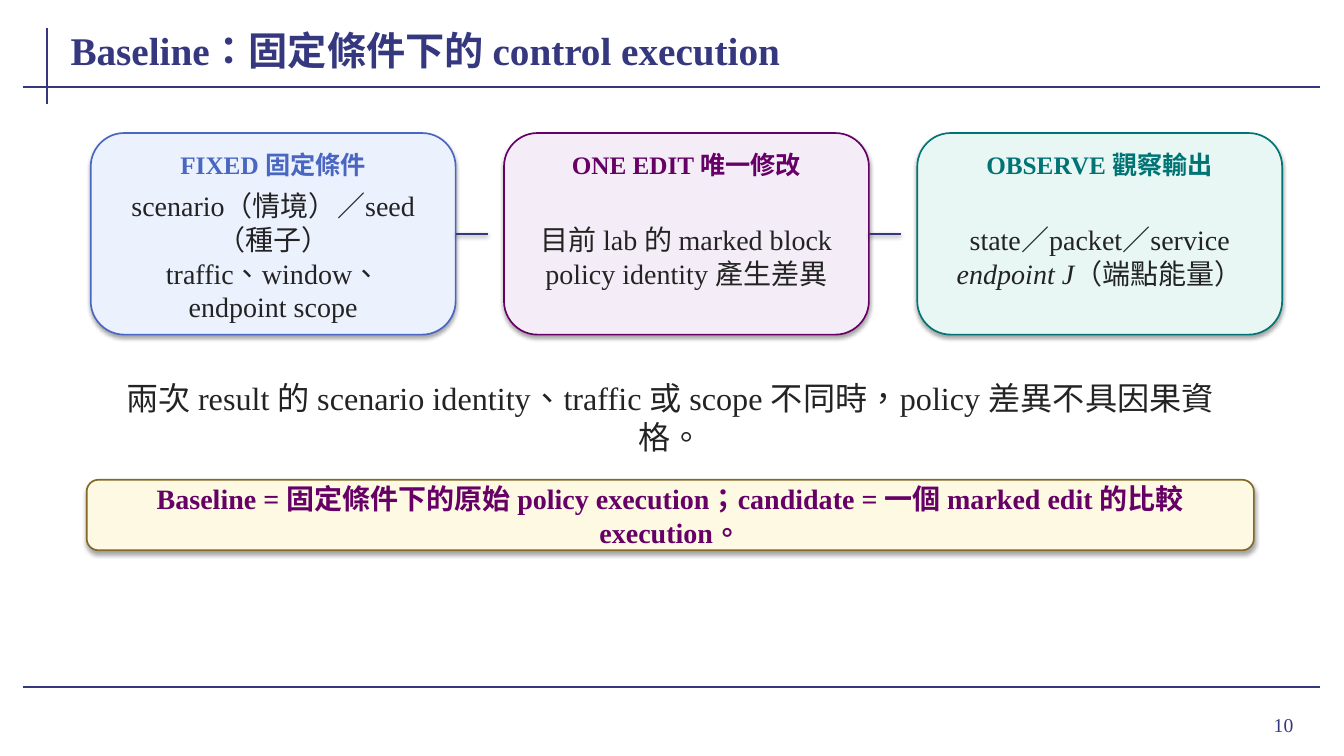
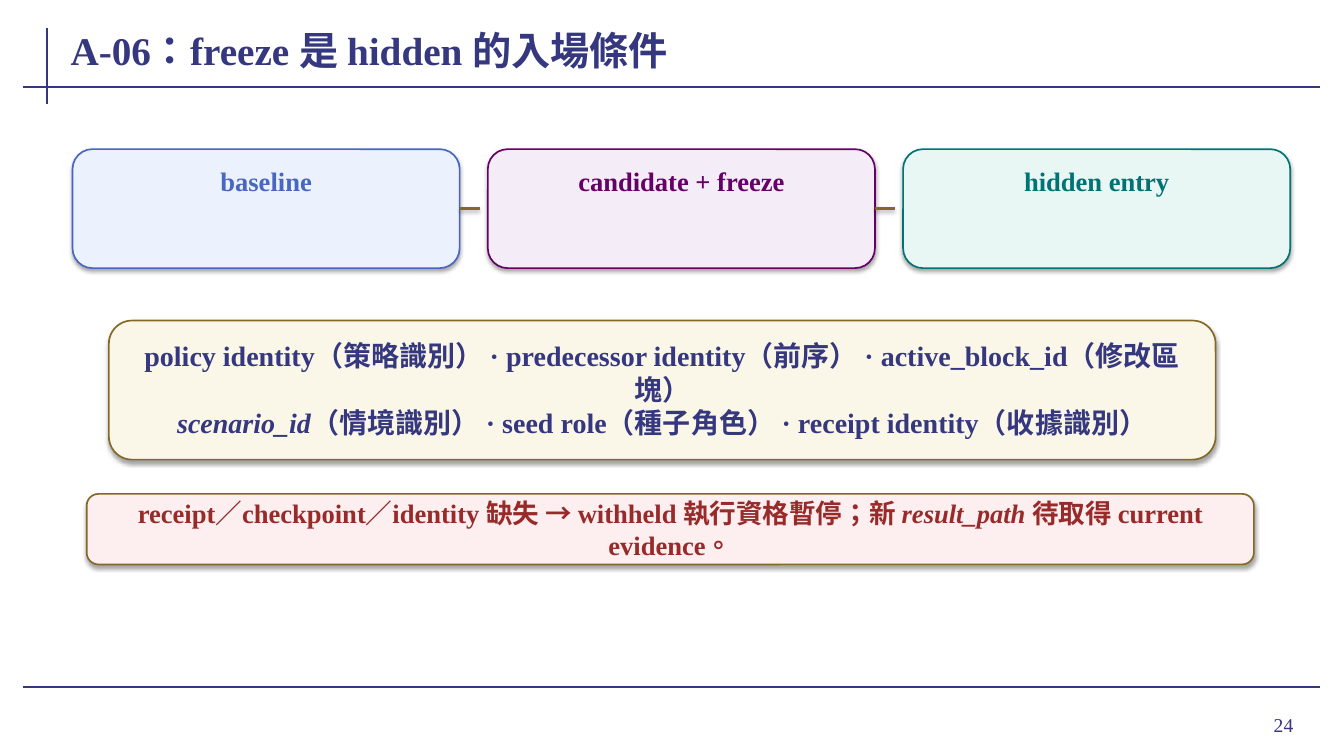
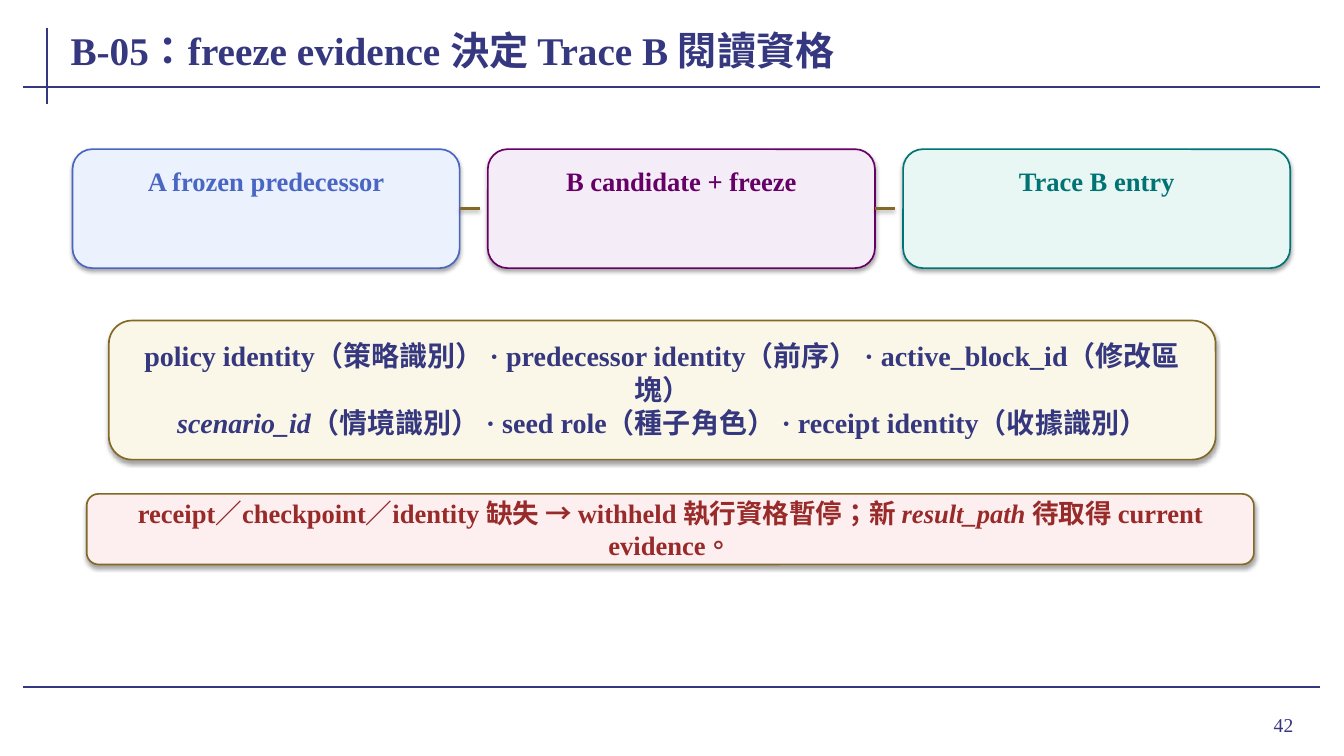
"""Three slides on baseline, freeze and Trace B conditions of a policy lab."""
from lxml import etree
from pptx import Presentation
from pptx import util as u
from pptx.dml.color import RGBColor
from pptx.enum import lang, shapes, text
from pptx.oxml.ns import qn

NAVY, INK, GOLD, PURPLE, RED = "35377F", "232323", "846826", "660066", "992A2A"
CARD_COLOURS = [("ECF1FE", "4967C2"), ("F4EDF7", PURPLE), ("E8F7F4", "007374")]
FONT = "Times New Roman"
CENTER, RIGHT, LEFT = text.PP_ALIGN.CENTER, text.PP_ALIGN.RIGHT, text.PP_ALIGN.LEFT

# Text between asterisks is italic.
BASELINE_CARDS = [
    ("FIXED 固定條件", ["scenario（情境）／seed（種子）", "traffic、window、endpoint scope"]),
    ("ONE EDIT 唯一修改", ["目前 lab 的 marked block", "policy identity 產生差異"]),
    ("OBSERVE 觀察輸出", ["state／packet／service", "*endpoint J*（端點能量）"]),
]
BASELINE_NOTE = "兩次 result 的 scenario identity、traffic 或 scope 不同時，policy 差異不具因果資格。"
BASELINE_BANNER = ("Baseline = 固定條件下的原始 policy execution；"
                   "candidate = 一個 marked edit 的比較 execution。")
IDENTITIES = [
    "policy identity（策略識別） · predecessor identity（前序） · active_block_id（修改區塊）",
    "*scenario_id*（情境識別） · seed role（種子角色） · receipt identity（收據識別）",
]
WITHHELD = ("receipt／checkpoint／identity 缺失 → withheld 執行資格暫停；"
            "新 *result_path* 待取得 current evidence。")
FREEZE_PAGES = [
    ("A-06：freeze 是 hidden 的入場條件", 24,
     ["baseline", "candidate + freeze", "hidden entry"]),
    ("B-05：freeze evidence 決定 Trace B 閱讀資格", 42,
     ["A frozen predecessor", "B candidate + freeze", "Trace B entry"]),
]

WIDE_CARDS = {"left": 64.8, "top": 95.04, "width": 260.64, "height": 144, "pitch": 295.2,
              "size": 18, "link": 23.04, "link_colour": NAVY, "link_width": 1.5}
LOW_CARDS = {"left": 51.84, "top": 106.56, "width": 276.48, "height": 84.96, "pitch": 296.64,
             "size": 19, "link": 14.4, "link_colour": GOLD, "link_width": 1.7}
RULES = [(33.84, 20.16, 33.84, 74.16), (16.56, 61.92, 943.2, 61.92),
         (16.56, 491.04, 943.2, 491.04)]
BODY_MARGINS, TIGHT_MARGINS, HEAD_MARGINS = (5.76, 2.88), (1.44, 0), (0.72, 0)


def colour(value):
    return RGBColor.from_string(value)


def points(*values):
    return [u.Pt(value) for value in values]


def add_effects(item, shadow=None):
    """Give an item its own effect list, with a soft black shadow on request."""
    effects = etree.SubElement(item._element.spPr, qn("a:effectLst"))
    if shadow:
        distance, alpha = shadow
        outer = etree.SubElement(effects, qn("a:outerShdw"), blurRad=str(u.Pt(3.15)),
                                 dist=str(u.Pt(distance)), dir="5400000", rotWithShape="0")
        black = etree.SubElement(outer, qn("a:srgbClr"), val="000000")
        etree.SubElement(black, qn("a:alpha"), val=str(alpha * 1000))


def add_text(page, area, lines, size, tint, bold=False, align=CENTER,
             margins=BODY_MARGINS, grow=True):
    box = page.shapes.add_textbox(*points(*area))
    side, edge = points(*margins)
    fit = text.MSO_AUTO_SIZE.SHAPE_TO_FIT_TEXT if grow else text.MSO_AUTO_SIZE.NONE
    frame_format = {"word_wrap": True, "auto_size": fit,
                    "vertical_anchor": text.MSO_ANCHOR.MIDDLE,
                    "margin_left": side, "margin_right": side,
                    "margin_top": edge, "margin_bottom": edge}
    for name, value in frame_format.items():
        setattr(box.text_frame, name, value)
    for index, line in enumerate(lines):
        para = box.text_frame.paragraphs[0] if index == 0 else box.text_frame.add_paragraph()
        para.alignment = align
        for part, words in enumerate(line.split("*")):
            if not words:
                continue
            span = para.add_run()
            span.text = words
            span_format = {"name": FONT, "size": u.Pt(size), "bold": bold,
                           "italic": part % 2 == 1,
                           "language_id": lang.MSO_LANGUAGE_ID.TRADITIONAL_CHINESE}
            for name, value in span_format.items():
                setattr(span.font, name, value)
            span.font.color.rgb = colour(tint)


def add_line(page, ends, tint, width, shadow=None):
    line = page.shapes.add_connector(shapes.MSO_CONNECTOR.STRAIGHT, *points(*ends))
    line.line.color.rgb = colour(tint)
    line.line.width = u.Pt(width)
    add_effects(line, shadow)
    return line


def add_panel(page, area, fill, outline):
    panel = page.shapes.add_shape(shapes.MSO_SHAPE.ROUNDED_RECTANGLE, *points(*area))
    panel.fill.solid()
    panel.fill.fore_color.rgb = colour(fill)
    panel.line.color.rgb = colour(outline)
    panel.line.width = u.Pt(1.2)
    add_effects(panel, (1.8, 35))
    return panel


def add_page(deck, title, number):
    page = deck.slides.add_slide(deck.slide_layouts[6])
    for ends in RULES:
        add_line(page, ends, NAVY, 1.5)
    add_text(page, (861.12, 498.96, 69.84, 37.44), [str(number)], 14, NAVY,
             align=RIGHT, margins=(7.2, 3.6), grow=False)
    add_text(page, (48.96, 12.96, 860.4, 44.64), [title], 28, NAVY, bold=True,
             align=LEFT, margins=TIGHT_MARGINS, grow=False)
    return page


def add_cards(page, cards, grid):
    top, width, height = grid["top"], grid["width"], grid["height"]
    for index, ((heading, details), (fill, accent)) in enumerate(zip(cards, CARD_COLOURS)):
        left = grid["left"] + index * grid["pitch"]
        card = add_panel(page, (left, top, width, height), fill, accent)
        add_text(page, (left + 12.96, top + 11.52, width - 25.92, 21.6), [heading],
                 grid["size"], accent, bold=True, margins=HEAD_MARGINS)
        if details:
            add_text(page, (left + 14.4, top + 41.76, width - 28.8, 92.16), details, 20, INK)
        if index < len(cards) - 1:
            right, middle = left + width, top + height / 2
            link = add_line(page, (right, middle, right + grid["link"], middle),
                            grid["link_colour"], grid["link_width"], (1.6, 38))
            link.begin_connect(card, 3)


def add_banner(page, top, fill, words, size, tint):
    add_panel(page, (61.92, top, 833.76, 50.4), fill, GOLD)
    add_text(page, (74.88, top + 5.04, 807.84, 40.32), [words], size, tint, bold=True,
             margins=TIGHT_MARGINS)


def main():
    deck = Presentation()
    deck.slide_width, deck.slide_height = points(960, 540)

    page = add_page(deck, "Baseline：固定條件下的 control execution", 10)
    add_cards(page, BASELINE_CARDS, WIDE_CARDS)
    add_text(page, (76.32, 270.72, 804.96, 54.72), [BASELINE_NOTE], 23, INK)
    add_banner(page, 342.72, "FDF9E2", BASELINE_BANNER, 20, PURPLE)

    for title, number, stages in FREEZE_PAGES:
        page = add_page(deck, title, number)
        add_cards(page, [(stage, []) for stage in stages], LOW_CARDS)
        add_panel(page, (77.76, 228.96, 790.56, 99.36), "FAF7E8", GOLD)
        add_text(page, (95.04, 250.56, 756, 54.72), IDENTITIES, 20, NAVY, bold=True)
        add_banner(page, 352.8, "FDEFEF", WITHHELD, 19, RED)

    deck.save("out.pptx")


if __name__ == "__main__":
    main()
